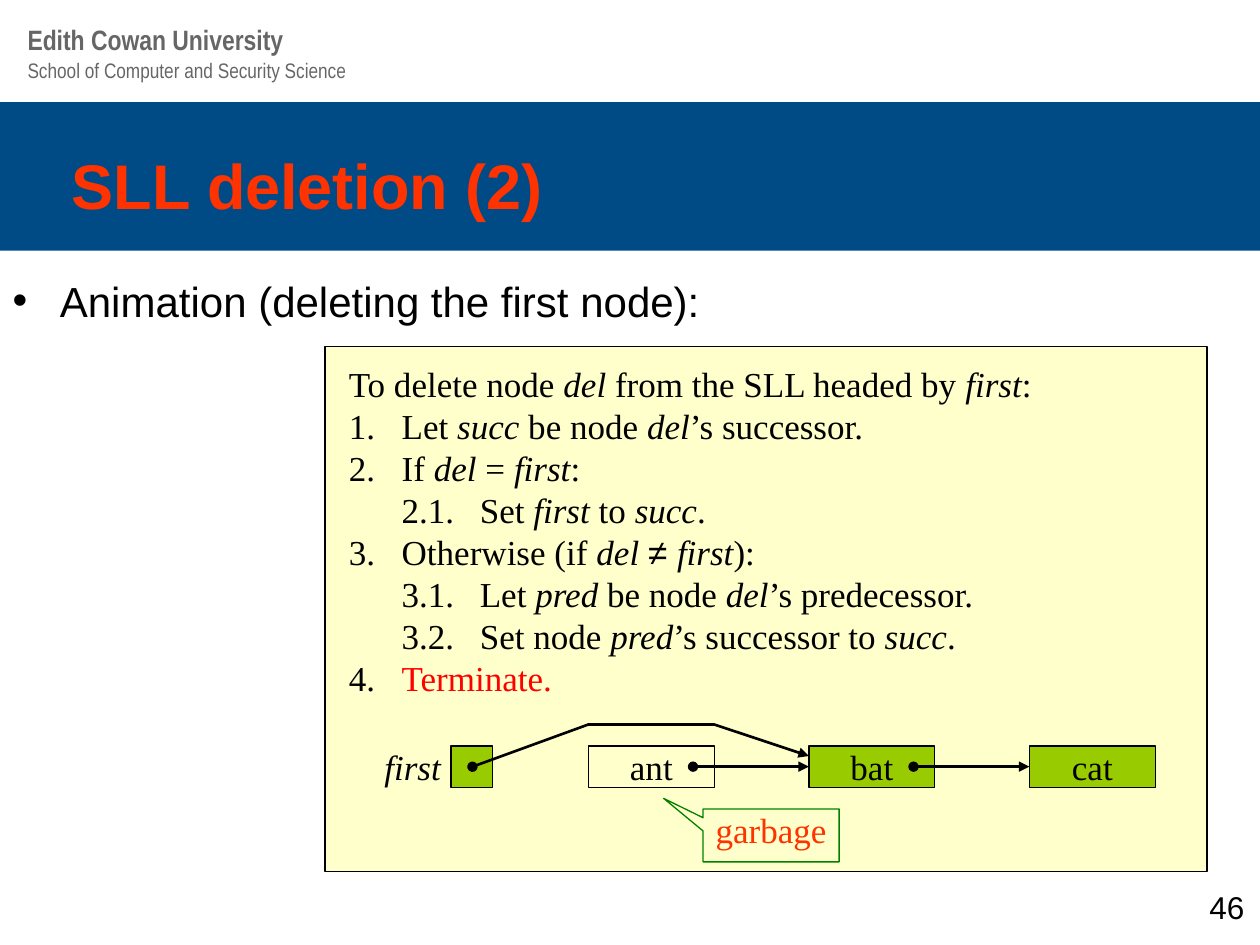
from lxml.etree import SubElement
from pptx import Presentation
from pptx.dml.color import RGBColor
from pptx.enum.shapes import MSO_CONNECTOR, MSO_SHAPE
from pptx.enum.text import MSO_ANCHOR, MSO_AUTO_SIZE, PP_ALIGN
from pptx.oxml.ns import qn
from pptx.util import Inches, Pt

BLACK = RGBColor(0x00, 0x00, 0x00)
GREY = RGBColor(0x66, 0x66, 0x66)
NAVY = RGBColor(0x00, 0x4B, 0x85)
ORANGE = RGBColor(0xFF, 0x33, 0x00)
RED = RGBColor(0xFF, 0x00, 0x00)
CREAM = RGBColor(0xFF, 0xFF, 0xCC)
LIME = RGBColor(0x99, 0xCC, 0x00)
GREEN = RGBColor(0x00, 0x80, 0x00)

SANS, NARROW, SERIF = "Arial", "Arial Narrow", "Times New Roman"

# Every second part between asterisks is italic.
ACTIVE = "Terminate."
STEPS = [
    "To delete node *del* from the SLL headed by *first*:",
    "1.\tLet *succ* be node *del*’s successor.",
    "2.\tIf *del* = *first*:",
    "\t2.1.\tSet *first* to *succ*.",
    "3.\tOtherwise (if *del *≠ *first*):",
    "\t3.1.\tLet *pred* be node *del*’s predecessor.",
    "\t3.2.\tSet node *pred*’s successor to *succ*.",
    "4.\t**" + ACTIVE,
]
NODES = [("ant", None), ("bat", LIME), ("cat", LIME)]
NODE_LEFT, NODE_STEP, NODE_TOP = 4.67, 1.75, 5.92
NODE_WIDE, NODE_HIGH = 1, 0.33
MID = NODE_TOP + NODE_HIGH / 2


class Painter:
    def __init__(self, slide):
        self.slide = slide
        self.shapes = slide.shapes

    def style(self, font, name, size, color, bold=False, italic=False):
        font.name, font.size = name, Pt(size)
        font.bold, font.italic = bold, italic
        font.color.rgb = color

    def letter(self, shape, text, name, size, color, align=PP_ALIGN.LEFT,
               anchor=MSO_ANCHOR.TOP, pad=None, **look):
        """Fill a shape with one styled line; pad is (side, top) insets."""
        frame = shape.text_frame
        frame.text = text
        frame.word_wrap = True
        frame.auto_size = MSO_AUTO_SIZE.NONE
        frame.vertical_anchor = anchor
        if pad:
            frame.margin_left = frame.margin_right = Inches(pad[0])
            frame.margin_top = frame.margin_bottom = Inches(pad[1])
        line = frame.paragraphs[0]
        line.alignment = align
        line.space_before = Pt(0)
        self.style(line.runs[0].font, name, size, color, **look)

    def holder(self, index, box, text, *font, **look):
        shape = self.slide.placeholders[index]
        shape.left, shape.top, shape.width, shape.height = map(Inches, box)
        self.letter(shape, text, *font, anchor=MSO_ANCHOR.MIDDLE, **look)
        return shape

    def label(self, box, text, *font, **look):
        shape = self.shapes.add_textbox(*map(Inches, box))
        self.letter(shape, text, *font, **look)

    def block(self, box, fill=None, line=BLACK, kind=MSO_SHAPE.RECTANGLE):
        shape = self.shapes.add_shape(kind, *map(Inches, box))
        shape.shadow.inherit = False
        if fill is None:
            shape.fill.background()
        else:
            shape.fill.solid()
            shape.fill.fore_color.rgb = fill
        if line is None:
            shape.line.fill.background()
        else:
            shape.line.color.rgb = line
            shape.line.width = Pt(0.75)
        return shape

    def ends(self, shape, tip=True):
        """Draw a link's stroke with a dot at its start and a tip at its end."""
        shape.line.color.rgb = BLACK
        shape.line.width = Pt(1.5)
        stroke = shape.element.spPr.get_or_add_ln()
        SubElement(stroke, qn("a:headEnd"), type="oval")
        if tip:
            SubElement(stroke, qn("a:tailEnd"), type="triangle")

    def link(self, left, target=None):
        """Point from a dot to the target's left side, or leave just the dot."""
        x, y = Inches(left), Inches(MID)
        line = self.shapes.add_connector(MSO_CONNECTOR.STRAIGHT, x, y, x, y)
        if target is not None:
            line.end_connect(target, 1)
        self.ends(line, target is not None)
        SubElement(line.element.spPr, qn("a:effectLst"))

    def bend(self, points):
        start, *rest = [(Inches(x), Inches(y)) for x, y in points]
        maker = self.shapes.build_freeform(*start)
        maker.add_line_segments(rest, close=False)
        shape = maker.convert_to_shape()
        shape.shadow.inherit = False
        shape.fill.background()
        self.ends(shape)

    def steps(self, box, lines):
        frame = self.shapes.add_textbox(*map(Inches, box)).text_frame
        frame.word_wrap = True
        for number, text in enumerate(lines):
            row = frame.paragraphs[0] if number == 0 else frame.add_paragraph()
            row.line_spacing = Pt(24)
            stops = SubElement(row._p.get_or_add_pPr(), qn("a:tabLst"))
            for place in (0.42, 1.04):
                SubElement(stops, qn("a:tab"), pos=str(Inches(place)), algn="l")
            for part, words in enumerate(text.split("*")):
                if not words:
                    continue
                run = row.add_run()
                run.text = words
                name = SANS if words.startswith("≠") else SERIF
                color = RED if words == ACTIVE else BLACK
                self.style(run.font, name, 20, color, italic=part % 2 == 1)


def main():
    deck = Presentation()
    deck.slide_width, deck.slide_height = Inches(10), Inches(7.5)
    pen = Painter(deck.slides.add_slide(deck.slide_layouts[1]))

    title = pen.holder(0, (0.47, 1.09, 8.5, 0.75), "SLL deletion (2)",
                       SANS, 36, ORANGE, bold=True)
    band = pen.block((0, 0.81, 10, 1.18), NAVY, None)
    title.element.addprevious(band.element)
    pen.holder(1, (0, 2.11, 9.53, 0.55), "Animation (deleting the first node):",
               SANS, 24, BLACK)

    pen.label((0.12, 0.41, 5.89, 0.3), "School of Computer and Security Science",
              NARROW, 12, GREY)
    pen.label((0.12, 0.13, 5.89, 0.37), "Edith Cowan University",
              NARROW, 16, GREY, bold=True)
    pen.label((9.5, 7, 0.5, 0.33), "46", SANS, 18, BLACK)

    pen.block((2.58, 2.75, 7, 4.17), CREAM)
    pen.steps((2.67, 2.83, 6.83, 2.77), STEPS)

    pen.block((3.58, NODE_TOP, 0.33, NODE_HIGH), LIME)
    pen.label((2.83, NODE_TOP, 0.67, NODE_HIGH), "first", SERIF, 20, BLACK,
              align=PP_ALIGN.RIGHT, pad=(0, 0), italic=True)
    lefts = [NODE_LEFT + NODE_STEP * i for i in range(len(NODES))]
    boxes = []
    for left, (name, fill) in zip(lefts, NODES):
        box = pen.block((left, NODE_TOP, NODE_WIDE, NODE_HIGH), fill)
        pen.letter(box, name, SERIF, 20, BLACK, align=PP_ALIGN.CENTER, pad=(0, 0))
        boxes.append(box)
    for left, target in zip(lefts, boxes[1:] + [None]):
        pen.link(left + 0.83, target)
    pen.bend([(3.75, MID), (4.67, 5.75), (5.67, 5.75), (6.42, 6)])

    note = pen.block((5.58, 6.42, 1.08, 0.42), None, GREEN,
                     MSO_SHAPE.RECTANGULAR_CALLOUT)
    note.adjustments[0], note.adjustments[1] = -0.79, -0.7
    pen.letter(note, "garbage", SERIF, 20, ORANGE, align=PP_ALIGN.CENTER,
               pad=(0.04, 0))

    deck.save("out.pptx")


if __name__ == "__main__":
    main()
